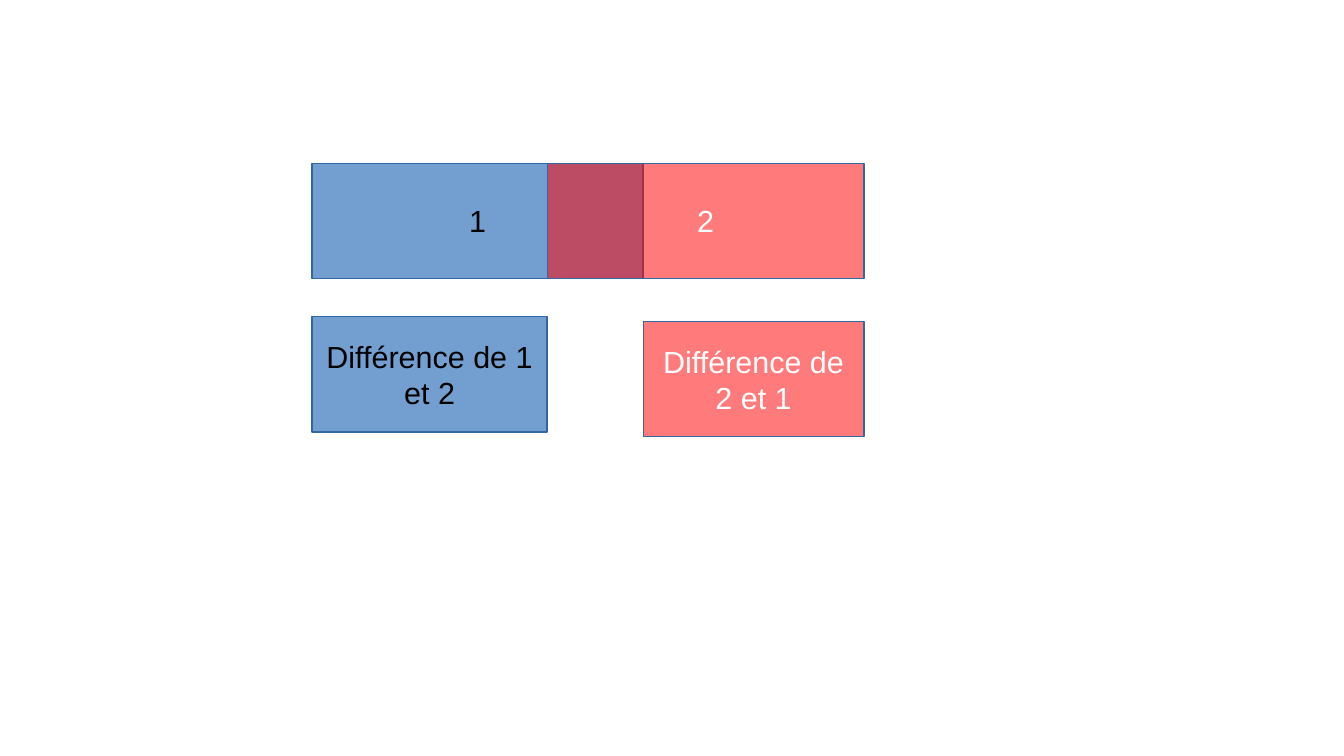
"""Build a slide showing two overlapping sets and their differences."""
from lxml.etree import SubElement
from pptx import Presentation
from pptx.dml.color import RGBColor
from pptx.enum.shapes import MSO_SHAPE
from pptx.enum.text import MSO_ANCHOR, PP_ALIGN
from pptx.oxml.ns import qn
from pptx.util import Cm, Pt

COLORS = {
    "blue": "729FCF",
    "red": "FF0000",
    "outline": "3465A4",
    "black": "000000",
    "white": "FFFFFF",
}
OPACITY = {"blue": 100, "red": 52}
FONT_FORMAT = {"name": "Arial", "size": Pt(18), "bold": False}

set1_left, set1_right = 6.5, 13.4
set2_left, set2_right = 11.4, 18
box_height = 2.4

boxes = [
    ("1", set1_left, set1_right, 3.4, "blue", "black", False),
    ("2", set2_left, set2_right, 3.4, "red", "white", False),
    ("Différence de 1 et 2", set1_left, set2_left, 6.6, "blue", "black", True),
    ("Différence de 2 et 1", set1_right, set2_right, 6.7, "red", "white", True),
]

presentation = Presentation()
presentation.slide_width = Cm(28)
presentation.slide_height = Cm(15.75)
slide = presentation.slides.add_slide(presentation.slide_layouts[6])

for label, left, right, top, fill, ink, wrap in boxes:
    box = slide.shapes.add_shape(
        MSO_SHAPE.RECTANGLE, Cm(left), Cm(top), Cm(right - left), Cm(box_height)
    )
    box.shadow.inherit = False
    box.fill.solid()
    box.fill.fore_color.rgb = RGBColor.from_string(COLORS[fill])
    if OPACITY[fill] < 100:
        fill_color = box._element.spPr.find(f"{qn('a:solidFill')}/{qn('a:srgbClr')}")
        SubElement(fill_color, qn("a:alpha"), val=str(OPACITY[fill] * 1000))
    box.line.color.rgb = RGBColor.from_string(COLORS["outline"])
    box.line.width = Pt(0)

    box.text_frame.text = label
    box.text_frame.word_wrap = wrap
    box.text_frame.vertical_anchor = MSO_ANCHOR.MIDDLE
    caption = box.text_frame.paragraphs[0]
    caption.alignment = PP_ALIGN.CENTER
    caption_font = caption.runs[0].font
    for attribute, value in FONT_FORMAT.items():
        setattr(caption_font, attribute, value)
    caption_font.color.rgb = RGBColor.from_string(COLORS[ink])

presentation.save("out.pptx")
